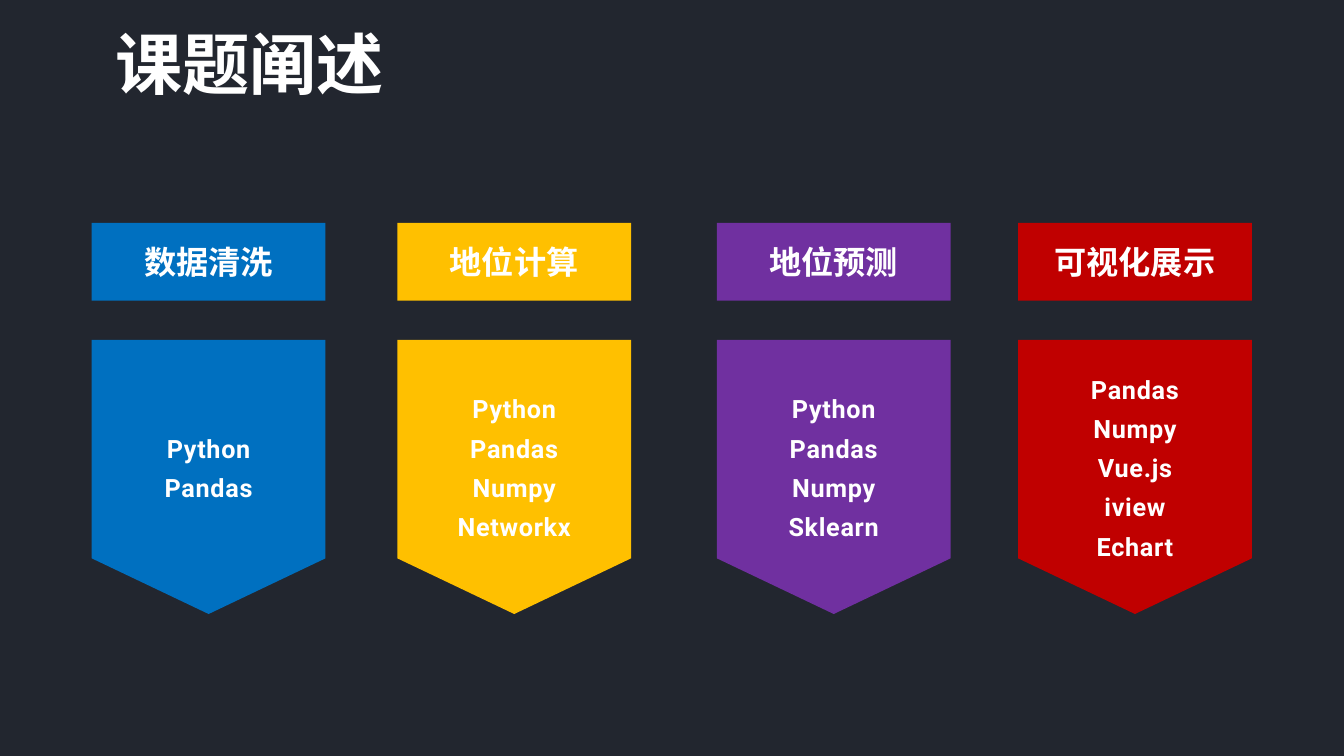
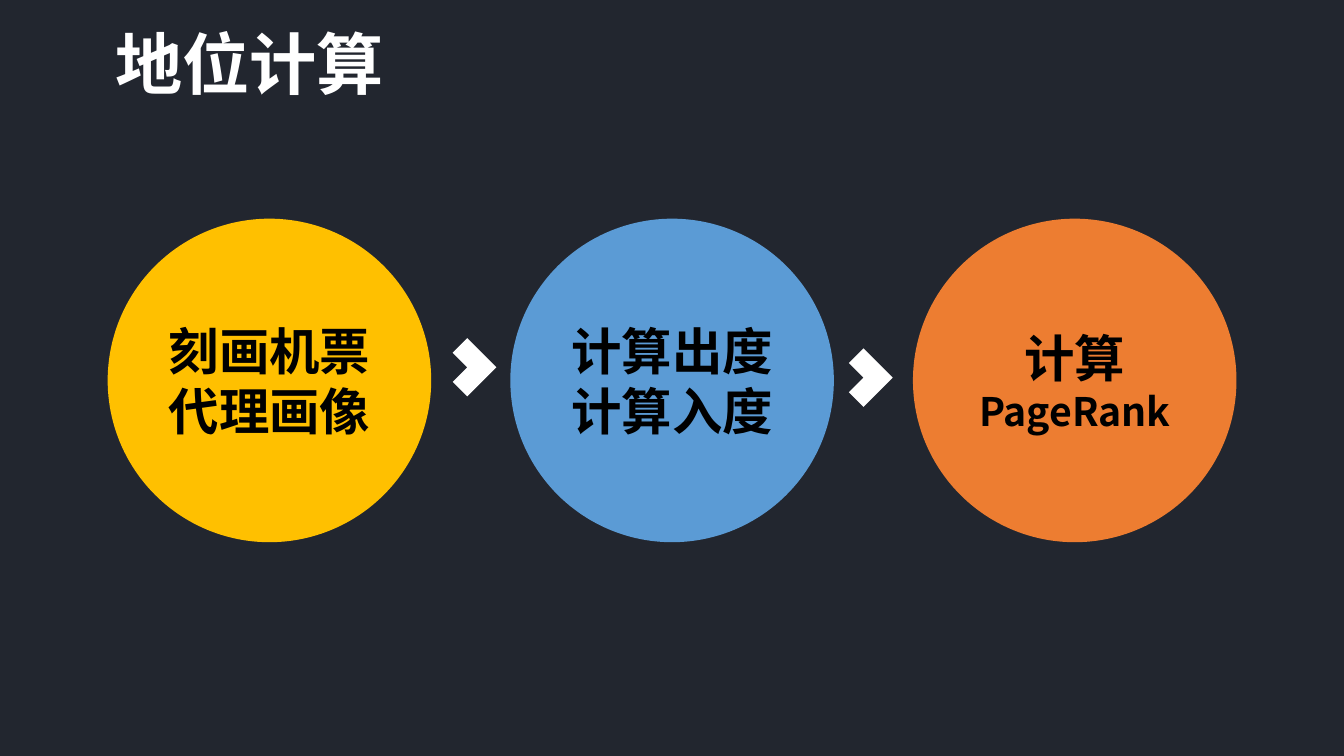
from lxml import etree
from pptx import Presentation
from pptx.dml.color import RGBColor
from pptx.enum import shapes, text
from pptx.oxml.ns import qn
from pptx.util import Pt

# Shared style
CJK, LATIN = "Noto Sans CJK SC", "Roboto"
BACKGROUND, WHITE, BLACK = "22262F", "FFFFFF", "000000"
KIND = shapes.MSO_SHAPE

# Content: left edge, colour, heading, tools
TOPIC_TITLE = "课题阐述"
TOPICS = [
    (65.5, "0070C0", "数据清洗", ["Python", "Pandas"]),
    (283.8, "FFC000", "地位计算", ["Python", "Pandas", "Numpy", "Networkx"]),
    (512, "7030A0", "地位预测", ["Python", "Pandas", "Numpy", "Sklearn"]),
    (727.2, "C00000", "可视化展示", ["Pandas", "Numpy", "Vue.js", "iview", "Echart"]),
]
# Content: colour, lines with their sizes
STEP_TITLE = "地位计算"
STEPS = [
    ("FFC000", [("刻画机票", 36), ("代理画像", 36)]),
    ("5B9BD5", [("计算出度", 36), ("计算入度", 36)]),
    ("ED7D31", [("计算", 36), ("PageRank", 28)]),
]
CHEVRONS = [(319, 247.6), (602, 255)]

# Layout
COLUMN_WIDTH = 167
HEADING_TOP, HEADING_HEIGHT = 159.2, 55.6
BANNER_TOP, BANNER_HEIGHT = 242.8, 195.8
CIRCLE_LEFT, CIRCLE_TOP, CIRCLE_SIZE, CIRCLE_STEP = 76.9, 156.2, 231.1, 287.6
CHEVRON_SIZE = 29.5


def colour(value):
    return RGBColor.from_string(value)


def style(para, size, fill, font=CJK, align=text.PP_ALIGN.CENTER):
    para.alignment = align
    for span in para.runs:
        span.font.size = Pt(size)
        span.font.bold = True
        span.font.name = font
        span.font.color.rgb = colour(fill)
        east_asian = etree.Element(qn("a:ea"), typeface=font)
        span.font._element.find(qn("a:latin")).addnext(east_asian)


def add_page(deck, title):
    page = deck.slides.add_slide(deck.slide_layouts[5])
    box = page.shapes.title
    box.left, box.top, box.width, box.height = Pt(75), Pt(12.2), Pt(232), Pt(65.5)
    frame = box.text_frame
    frame.text = title
    frame.auto_size = text.MSO_AUTO_SIZE.NONE
    frame.vertical_anchor = text.MSO_ANCHOR.TOP
    style(frame.paragraphs[0], 48, WHITE, align=text.PP_ALIGN.LEFT)
    return page


def add_block(page, kind, left, top, width, height, fill, lines=()):
    block = page.shapes.add_shape(kind, Pt(left), Pt(top), Pt(width), Pt(height))
    block.shadow.inherit = False
    block.fill.solid()
    block.fill.fore_color.rgb = colour(fill)
    block.line.fill.background()
    if lines:
        block.text_frame.text = "\n".join(lines)
        block.text_frame.vertical_anchor = text.MSO_ANCHOR.MIDDLE
    return block


def add_banner(page, left, fill, tools):
    # The arrow lies on its side, so its frame is turned about its centre
    shift = (BANNER_HEIGHT - COLUMN_WIDTH) / 2
    banner = add_block(page, KIND.PENTAGON, left - shift, BANNER_TOP + shift,
                       BANNER_HEIGHT, COLUMN_WIDTH, fill, tools)
    banner.rotation = 90
    banner.adjustments[0] = 0.238
    banner.text_frame._txBody.bodyPr.set("vert", "vert270")
    for para in banner.text_frame.paragraphs:
        style(para, 18, WHITE, LATIN)
        para.line_spacing = 1.3
        for span in para.runs:
            span.font._element.set("spc", "50")


def build_topics(deck):
    page = add_page(deck, TOPIC_TITLE)
    for left, fill, heading, tools in TOPICS:
        label = add_block(page, KIND.RECTANGLE, left, HEADING_TOP,
                          COLUMN_WIDTH, HEADING_HEIGHT, fill, [heading])
        style(label.text_frame.paragraphs[0], 23, WHITE)
        add_banner(page, left, fill, tools)


def build_steps(deck):
    page = add_page(deck, STEP_TITLE)
    for index, (fill, lines) in enumerate(STEPS):
        circle = add_block(page, KIND.OVAL, CIRCLE_LEFT + index * CIRCLE_STEP, CIRCLE_TOP,
                           CIRCLE_SIZE, CIRCLE_SIZE, fill, [line for line, _ in lines])
        for para, (_, size) in zip(circle.text_frame.paragraphs, lines):
            style(para, size, BLACK)
    for left, top in CHEVRONS:
        chevron = add_block(page, KIND.CORNER, left, top, CHEVRON_SIZE, CHEVRON_SIZE, WHITE)
        chevron.rotation = 225


def main():
    deck = Presentation()
    deck.slide_width, deck.slide_height = Pt(960), Pt(540)
    backdrop = deck.slide_master.background.fill
    backdrop.solid()
    backdrop.fore_color.rgb = colour(BACKGROUND)
    build_topics(deck)
    build_steps(deck)
    deck.save("out.pptx")


if __name__ == "__main__":
    main()
